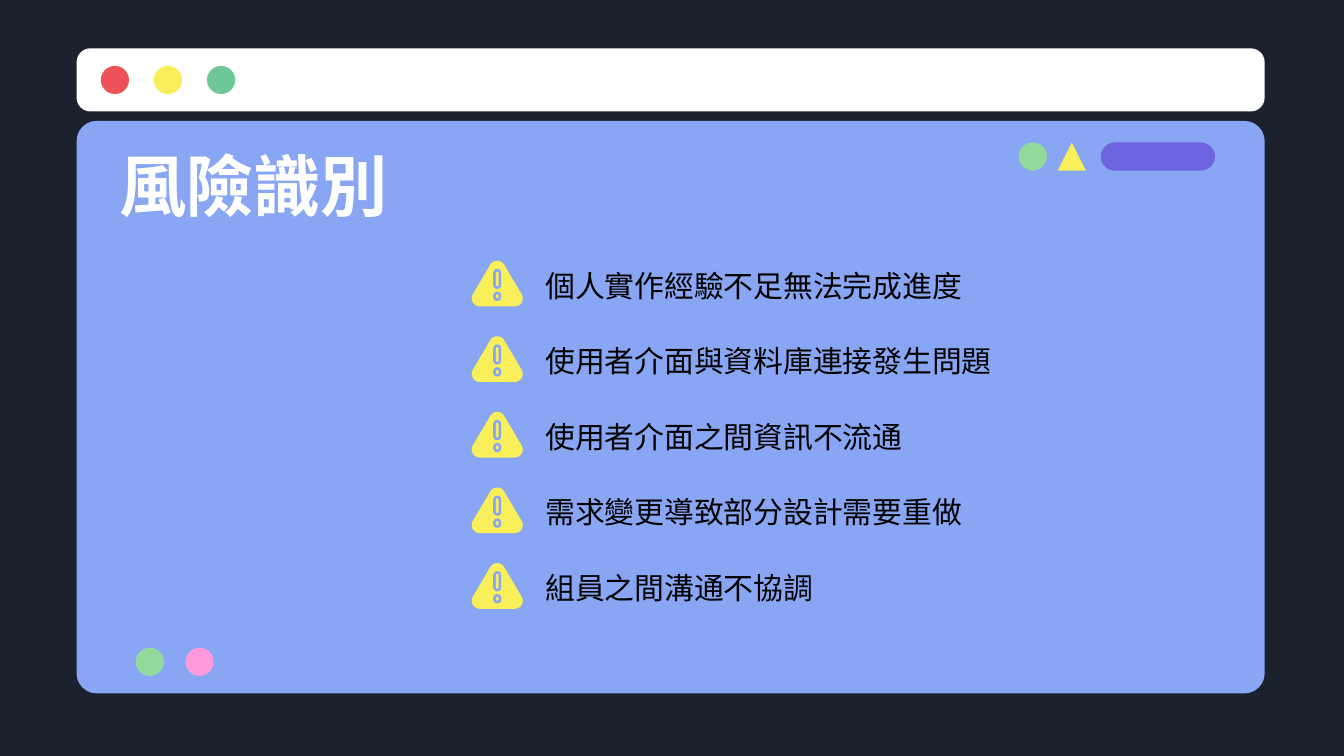
from math import cos, radians, sin

from pptx import Presentation
from pptx.dml.color import RGBColor
from pptx.enum.shapes import MSO_SHAPE
from pptx.enum.text import MSO_ANCHOR
from pptx.oxml.ns import qn
from pptx.util import Inches, Pt

ROUND = MSO_SHAPE.ROUNDED_RECTANGLE
OVAL = MSO_SHAPE.OVAL
PEAK = MSO_SHAPE.ISOSCELES_TRIANGLE
TOP, MIDDLE = MSO_ANCHOR.TOP, MSO_ANCHOR.MIDDLE

FONT = "Noto Sans CJK SC"
NAVY, BLUE, WHITE, BLACK = "1B222D", "88A6F3", "FFFFFF", "000000"
RED, YELLOW, GREEN = "EB5358", "F8EF5B", "6DC797"
LIME, PURPLE, PINK = "92D99C", "6D65E0", "FF9BDA"
DOT = 0.21

RISKS = [
    "個人實作經驗不足無法完成進度",
    "使用者介面與資料庫連接發生問題",
    "使用者介面之間資訊不流通",
    "需求變更導致部分設計需要重做",
    "組員之間溝通不協調",
]


def paint(target, color):
    target.fill.solid()
    target.fill.fore_color.rgb = RGBColor.from_string(color)


def finish(shape, color):
    paint(shape, color)
    shape.line.fill.background()
    shape.shadow.inherit = False


def add_form(shapes, kind, box, color, curve=None):
    shape = shapes.add_shape(kind, *map(Inches, box))
    if curve is not None:
        shape.adjustments[0] = curve
    finish(shape, color)


def add_text(shapes, box, text, size=16, color=BLACK, bold=False,
             anchor=TOP, inset=0.05, wrap=True):
    frame = shapes.add_textbox(*map(Inches, box)).text_frame
    frame.word_wrap = wrap
    frame.vertical_anchor = anchor
    frame.margin_top = frame.margin_bottom = Inches(inset)
    run = frame.paragraphs[0].add_run()
    run.text = text
    font = run.font
    font.name, font.size, font.bold = FONT, Pt(size), bold
    font.color.rgb = RGBColor.from_string(color)
    asian = run._r.get_or_add_rPr().makeelement(qn("a:ea"), {"typeface": FONT})
    run._r.rPr.find(qn("a:latin")).addnext(asian)


def add_bar(shapes, box):
    x, y, _, _ = box
    group = shapes.add_group_shape().shapes
    add_form(group, ROUND, box, WHITE, 0.22)
    for i, color in enumerate([RED, YELLOW, GREEN]):
        add_form(group, OVAL, (x + 0.18 + i * 0.79 / 2, y + 0.13, DOT, DOT), color)


def add_panel(shapes, box):
    x, y, w, h = box
    add_form(shapes, ROUND, box, BLUE, 0.15 / h)
    right, top, low = x + w, y + 0.16, y + h - 0.34
    add_form(shapes, OVAL, (right - 1.83, top, DOT, DOT), LIME)
    add_form(shapes, PEAK, (right - 1.54, top, DOT, DOT), YELLOW)
    add_form(shapes, ROUND, (right - 1.22, top, 0.85, DOT), PURPLE, 0.5)
    add_form(shapes, OVAL, (x + 0.81, low, DOT, DOT), PINK)
    add_form(shapes, OVAL, (x + 0.44, low, DOT, DOT), LIME)
    add_text(shapes, (x + 0.22, y + 0.16, w - 0.41, 0.62), "風險識別",
             size=36, color=WHITE, bold=True, anchor=MIDDLE, inset=0.1)


def add_sign(shapes, x, y):
    radius = 0.06
    corners = [(0.2, 0.06, 210), (0.33, 0.28, 330), (0.07, 0.28, 90)]
    points = [
        (Inches(x + cx + radius * cos(radians(start + turn))),
         Inches(y + cy + radius * sin(radians(start + turn))))
        for cx, cy, start in corners
        for turn in range(0, 121, 10)
    ]
    builder = shapes.build_freeform(*points[0])
    builder.add_line_segments(points[1:], close=True)
    finish(builder.convert_to_shape(), YELLOW)
    for top, height in [(0.06, 0.15), (0.23, 0.07)]:
        add_form(shapes, ROUND, (x + 0.17, y + top, 0.06, height), BLUE, 0.5)
        add_form(shapes, ROUND,
                 (x + 0.19, y + top + 0.02, 0.02, height - 0.04), YELLOW, 0.5)


def add_risks(shapes, box):
    x, y, w, h = box
    step = h / (len(RISKS) - 1)
    for i, risk in enumerate(RISKS):
        group = shapes.add_group_shape().shapes
        top = y + i * step
        add_sign(group, x, top)
        width = min(0.22 * len(risk) + 0.26, w - 0.46)
        add_text(group, (x + 0.46, top, width, 0.37), risk, wrap=False)


def main():
    deck = Presentation()
    deck.slide_width = Inches(10)
    deck.slide_height = deck.slide_width * 9 // 16
    slide = deck.slides.add_slide(deck.slide_layouts[6])
    paint(slide.background, NAVY)
    add_panel(slide.shapes, (0.57, 0.9, 8.84, 4.26))
    add_bar(slide.shapes, (0.57, 0.36, 8.84, 0.47))
    add_risks(slide.shapes, (3.5, 1.94, 4.1, 2.25))
    deck.save("out.pptx")


if __name__ == "__main__":
    main()
